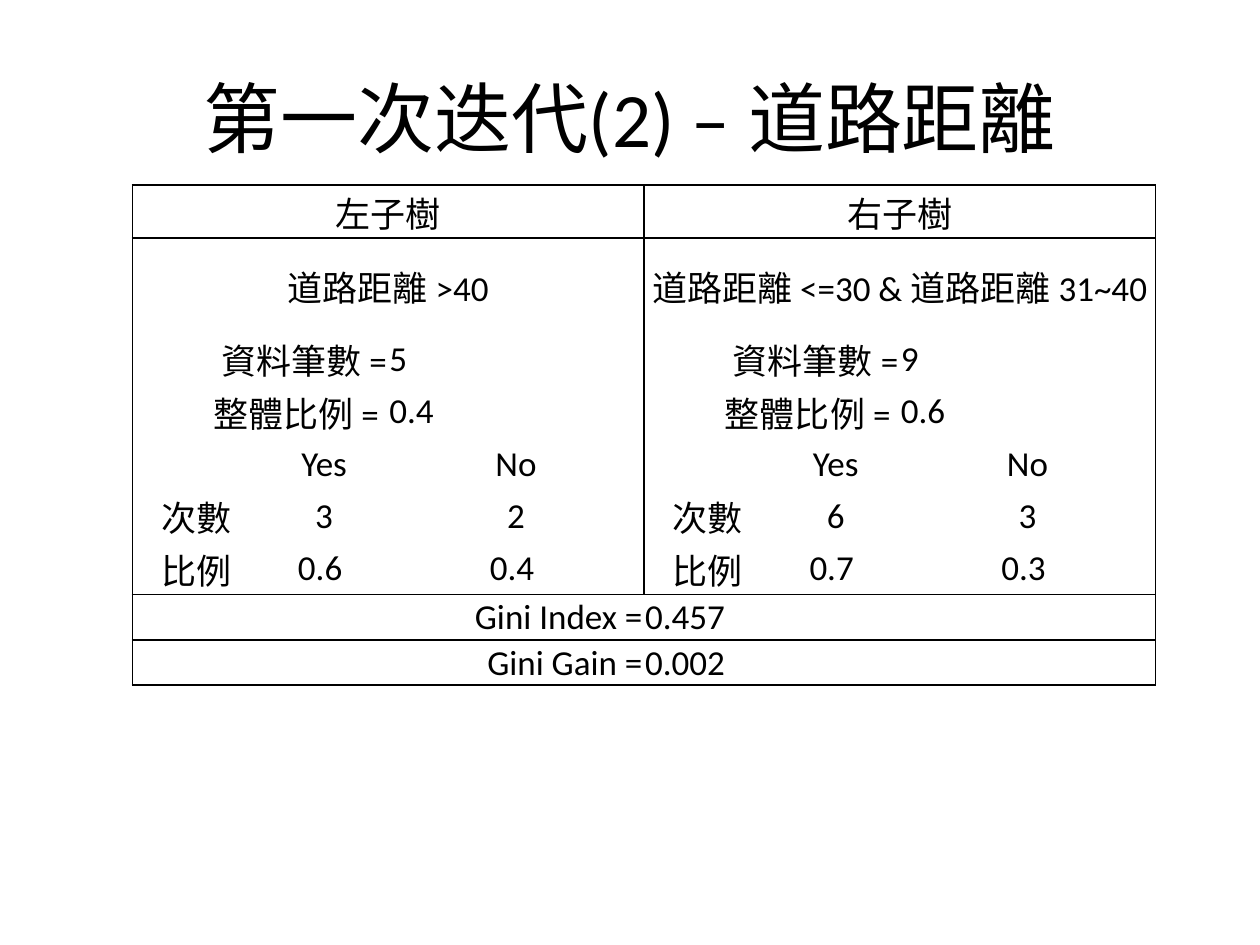
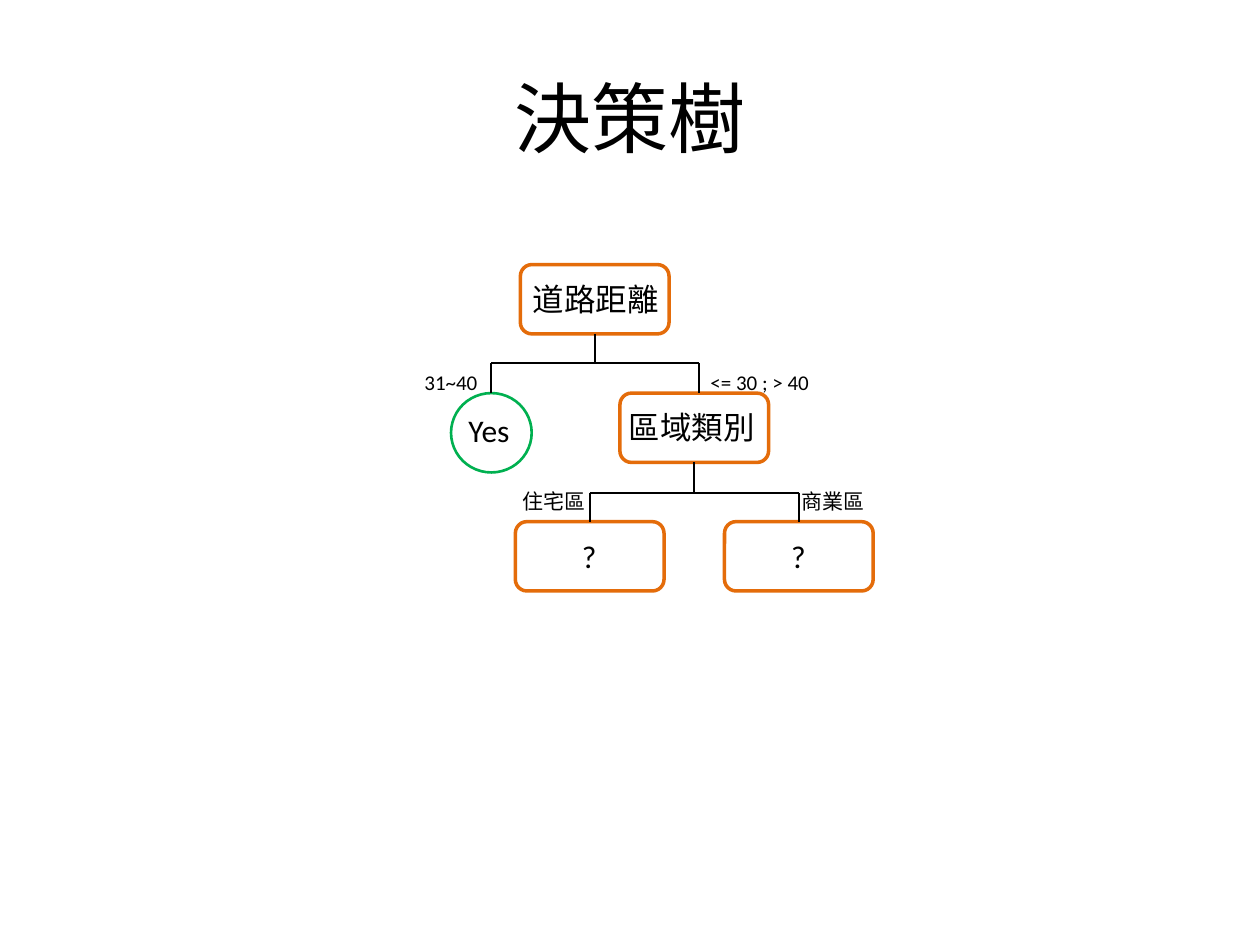
from lxml import etree
from pptx import Presentation
from pptx.dml.color import RGBColor
from pptx.enum import shapes, text
from pptx.oxml.ns import qn
from pptx.util import Inches, Pt

COLORS = {"ink": "000000", "node": "E46C0A", "leaf": "00B050"}
LATIN, CJK = "Calibri", "Noto Sans CJK SC"
LEFT, CENTER, RIGHT = text.PP_ALIGN.LEFT, text.PP_ALIGN.CENTER, text.PP_ALIGN.RIGHT


def write(frame, words, size, align=LEFT, face=LATIN):
    """Fill a text frame with one styled paragraph."""
    paragraph = frame.paragraphs[0]
    paragraph.alignment = align
    run = paragraph.add_run()
    run.text = words
    run.font.size = Pt(size)
    run.font.name = face
    run.font.color.rgb = RGBColor.from_string(COLORS["ink"])
    etree.SubElement(run.font._element, qn("a:ea"), typeface=CJK)


def add_label(slide, words, box, size, face=LATIN):
    label = slide.shapes.add_textbox(*map(Inches, box)).text_frame
    label.word_wrap = False
    label.auto_size = text.MSO_AUTO_SIZE.SHAPE_TO_FIT_TEXT
    write(label, words, size, face=face)


prs = Presentation()
prs.slide_width, prs.slide_height = Inches(10), Inches(7.5)

slides = []
for words, face in [("第一次迭代(2) – 道路距離", LATIN), ("決策樹", CJK)]:
    slide = prs.slides.add_slide(prs.slide_layouts[6])
    title = slide.shapes.add_textbox(Inches(0.5), Inches(0.3), Inches(9), Inches(1.25)).text_frame
    title.word_wrap = True
    title.vertical_anchor = text.MSO_ANCHOR.MIDDLE
    write(title, words, 44, CENTER, face)
    slides.append(slide)
gini_slide, tree_slide = slides

# Gini table: two subtrees side by side, three columns each
subtrees = [
    ("左子樹", "道路距離 >40", "5", "0.4", ("3", "2"), ("0.6 ", "0.4 ")),
    ("右子樹", "道路距離 <=30 & 道路距離 31~40", "9", "0.6", ("6", "3"), ("0.7 ", "0.3 ")),
]
totals = [("Gini Index =", "0.457"), ("Gini Gain =", "0.002")]

# Each entry: row, column, columns spanned, alignment, words
entries = []
for half, (name, rule, count, share, counts, shares) in enumerate(subtrees):
    first = 3 * half
    entries += [(0, first, 3, CENTER, name), (1, first, 3, CENTER, rule)]
    for row, caption, value in [(2, "資料筆數 =", count), (3, "整體比例 = ", share)]:
        entries += [(row, first, 2, RIGHT, caption), (row, first + 2, 1, LEFT, value)]
    for row, line in enumerate([("", "Yes", "No"), ("次數", *counts), ("比例", *shares)], 4):
        entries += [(row, first + i, 1, CENTER, words) for i, words in enumerate(line)]
for row, (caption, value) in enumerate(totals, 7):
    entries += [(row, 0, 3, RIGHT, caption), (row, 3, 3, LEFT, value)]

TABLE_WIDTH = 8.12
row_heights = [0.42, 0.75] + [2.08 / 5] * 5 + [0.36] * 2
table = gini_slide.shapes.add_table(
    9, 6, Inches(1.05), Inches(1.47), Inches(TABLE_WIDTH), Inches(sum(row_heights))).table
table.first_row = table.horz_banding = False
for column, share in zip(table.columns, [1, 1, 2] * 2):
    column.width = Inches(TABLE_WIDTH * share / 8)
for row, height in zip(table.rows, row_heights):
    row.height = Inches(height)

margins = {"margin_left": 0.01, "margin_right": 0.01, "margin_top": 0.01, "margin_bottom": 0}
ruled_rows = {0, 1, 7, 8, 9}
for row, col, span, align, words in entries:
    cell = table.cell(row, col)
    if span > 1:
        cell.merge(table.cell(row, col + span - 1))
    if words:
        write(cell.text_frame, words, 20, align)
    ruled_cols = {0, 3, 6} if row < 7 else {0, 6}
    for i in range(col, col + span):
        part = table.cell(row, i)
        part.vertical_anchor = text.MSO_ANCHOR.MIDDLE
        for side, gap in margins.items():
            setattr(part, side, Inches(gap))
        end = col + span if i == col else i + 1
        ruled = {"lnL": i in ruled_cols, "lnR": end in ruled_cols,
                 "lnT": row in ruled_rows, "lnB": row + 1 in ruled_rows}
        tc_pr = part._tc.get_or_add_tcPr()
        for tag, visible in ruled.items():
            border = etree.SubElement(tc_pr, qn("a:" + tag), w=str(Pt(1)))
            if visible:
                fill = etree.SubElement(border, qn("a:solidFill"))
                etree.SubElement(fill, qn("a:srgbClr"), val=COLORS["ink"])
            else:
                etree.SubElement(border, qn("a:noFill"))
        part.fill.background()

# Decision tree
ROUND, OVAL = shapes.MSO_SHAPE.ROUNDED_RECTANGLE, shapes.MSO_SHAPE.OVAL
NODE = (1.18, 0.55)
outlines = {
    "distance": (ROUND, (4.13, 2.1, *NODE), "node", 2),
    "yes": (OVAL, (3.58, 3.12, 0.64, 0.63), "leaf", 1.5),
    "district": (ROUND, (4.92, 3.12, *NODE), "node", 2),
    "residential": (ROUND, (4.09, 4.14, *NODE), "node", 2),
    "commercial": (ROUND, (5.75, 4.14, *NODE), "node", 2),
}
nodes = {}
for key, (outline, box, color, width) in outlines.items():
    node = tree_slide.shapes.add_shape(outline, *map(Inches, box))
    node.shadow.inherit = False
    node.fill.background()
    node.line.color.rgb = RGBColor.from_string(COLORS[color])
    node.line.width = Pt(width)
    nodes[key] = node

# Each fork: parent, its centre and bottom, bar height, then (x, bottom, child joined at its top)
forks = [
    ("distance", 4.72, 2.65, 2.88, [(3.9, 3.12, "yes"), (5.55, 3.12, None)]),
    ("district", 5.51, 3.67, 3.91, [(4.68, 4.14, "residential"), (6.34, 4.14, "commercial")]),
]
for parent, center, bottom, bar, branches in forks:
    segments = [(center, bottom, center, bar, parent, None),
                (branches[0][0], bar, branches[1][0], bar, None, None)]
    segments += [(x, bar, x, top, None, child) for x, top, child in branches]
    for *ends, above, below in segments:
        branch = tree_slide.shapes.add_connector(
            shapes.MSO_CONNECTOR.STRAIGHT, *map(Inches, ends))
        if above:
            branch.begin_connect(nodes[above], 2)
        if below:
            branch.end_connect(nodes[below], 0)
        branch.line.color.rgb = RGBColor.from_string(COLORS["ink"])
        branch.line.width = Pt(1.25)
        etree.SubElement(branch._element.spPr, qn("a:effectLst"))

for words, x, y, width, face in [
    ("道路距離", 4.13, 2.17, 1.21, CJK),
    ("Yes", 3.62, 3.21, 0.53, LATIN),
    ("區域類別", 4.89, 3.19, 1.21, CJK),
    ("?", 4.52, 4.21, 0.32, LATIN),
    ("?", 6.18, 4.21, 0.32, LATIN),
]:
    add_label(tree_slide, words, (x, y, width, 0.4), 18, face)

for words, x, y, width in [
    ("31~40", 3.27, 2.88, 0.63),
    ("<= 30 ; > 40", 5.54, 2.88, 1.04),
    ("住宅區", 4.05, 3.83, 0.75),
    ("商業區", 6.26, 3.83, 0.75),
]:
    add_label(tree_slide, words, (x, y, width, 0.3), 12)

prs.save("out.pptx")
